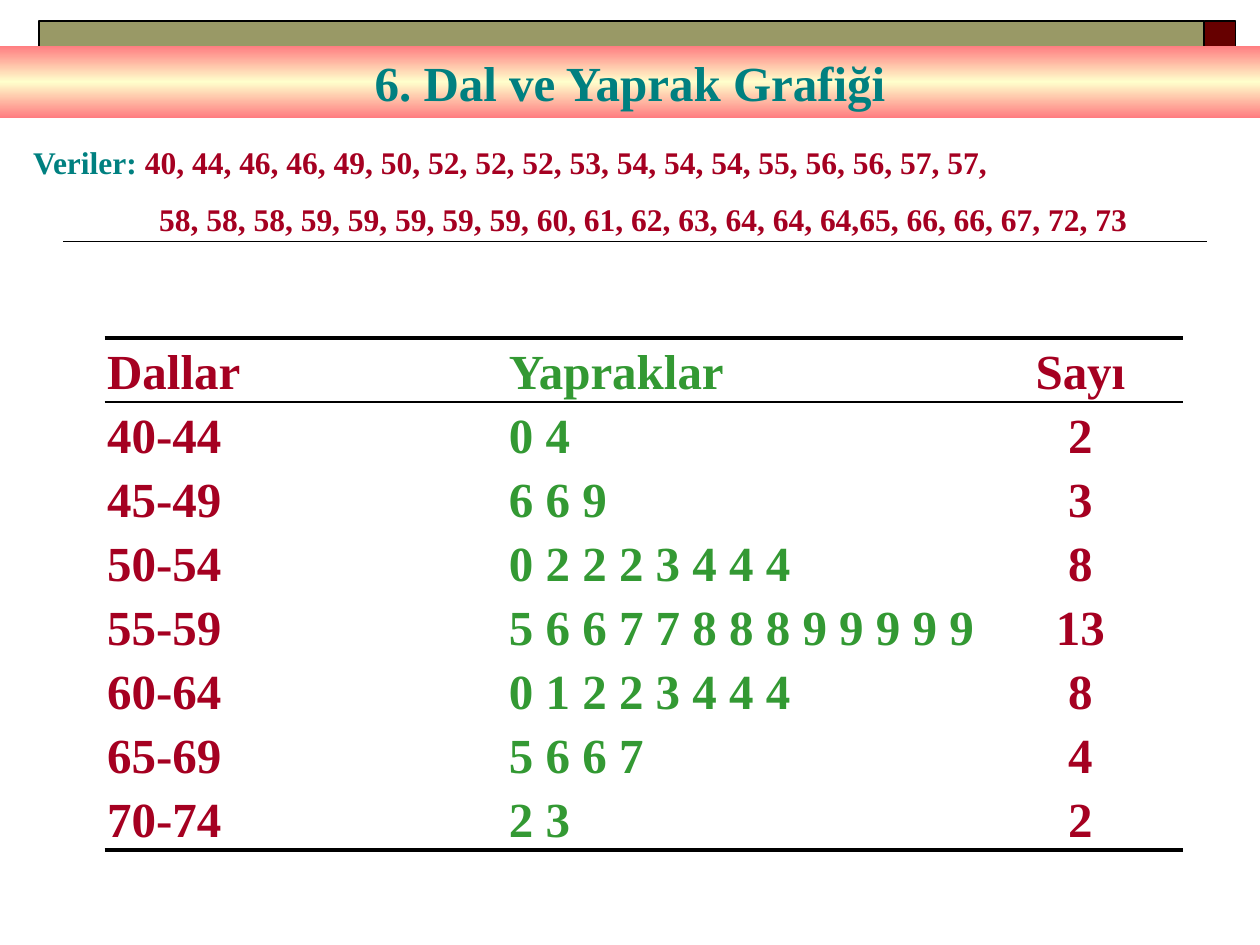
import copy
import pptx
import pptx.dml.color
import pptx.enum.shapes
import pptx.enum.text
import pptx.oxml
import pptx.oxml.ns
import pptx.util

Cm, Pt = pptx.util.Cm, pptx.util.Pt
ALIGN, ANCHOR = pptx.enum.text.PP_ALIGN, pptx.enum.text.MSO_ANCHOR
RECTANGLE = pptx.enum.shapes.MSO_SHAPE.RECTANGLE
qn = pptx.oxml.ns.qn

THEME = {
    "font": "Times New Roman", "large": 28, "small": 18,
    "teal": "008080", "crimson": "A50021", "green": "339933",
    "olive": "999966", "maroon": "660000", "black": "000000",
    "banner": [(0, "FF7C80"), (0.5, "FFFFCC"), (1, "FF7C80")],
    "thin": 0.99, "thick": 2.24,
}

TITLE = "6. Dal ve Yaprak Grafiği"
DATA_LINES = [
    [("Veriler: ", "teal"),
     ("40, 44, 46, 46, 49, 50, 52, 52, 52, 53, 54, 54, 54, 55, 56, 56, 57, 57,", "crimson")],
    [("58, 58, 58, 59, 59, 59, 59, 59, 60, 61, 62, 63, 64, 64, 64,65, 66, 66, 67, 72, 73", "crimson")],
]
COLUMNS = [(8.1, "crimson", ALIGN.LEFT), (9.5, "green", ALIGN.LEFT), (4.14, "crimson", ALIGN.CENTER)]
ROWS = [
    ("Dallar", "Yapraklar", "Sayı"),
    ("40-44", "0 4", "2"),
    ("45-49", "6 6 9", "3"),
    ("50-54", "0 2 2 2 3 4 4 4", "8"),
    ("55-59", "5 6 6 7 7 8 8 8 9 9 9 9 9", "13"),
    ("60-64", "0 1 2 2 3 4 4 4", "8"),
    ("65-69", "5 6 6 7", "4"),
    ("70-74", "2 3", "2"),
]
TABLE_RULES = [(0, "thick"), (1, "thin"), (len(ROWS), "thick")]
TABLE_LEFT, TABLE_TOP, ROW_HEIGHT = 2.11, 6.82, 1.29
BARS = [(0.78, 23.5, "olive"), (24.28, 0.63, "maroon")]


def rgb(value):
    return pptx.dml.color.RGBColor.from_string(THEME.get(value, value))


def style(span, size, color):
    span.font.name = THEME["font"]
    span.font.size = Pt(THEME[size])
    span.font.bold = True
    span.font.color.rgb = rgb(color)


def add_rule(page, left, right, top, width):
    rule = page.shapes.add_connector(
        pptx.enum.shapes.MSO_CONNECTOR.STRAIGHT, Cm(left), Cm(top), Cm(right), Cm(top))
    rule.line.color.rgb = rgb("black")
    rule.line.width = Pt(THEME[width])
    rule._element.spPr.append(pptx.oxml.parse_xml(
        f'<a:effectLst {pptx.oxml.ns.nsdecls("a")}/>'))


def add_bars(page):
    for left, width, color in BARS:
        bar = page.shapes.add_shape(RECTANGLE, Cm(left), Cm(0.43), Cm(width), Cm(0.64))
        bar.shadow.inherit = False
        bar.fill.solid()
        bar.fill.fore_color.rgb = rgb(color)
        bar.line.color.rgb = rgb("black")
        bar.line.width = Pt(THEME["thin"])


def add_title(page):
    banner = page.shapes.add_shape(RECTANGLE, 0, Cm(0.92), Cm(25.4), Cm(1.46))
    banner.shadow.inherit = False
    banner.line.fill.background()
    banner.fill.gradient()
    banner.fill.gradient_angle = 90
    stop_list = banner._element.spPr.find(qn("a:gradFill")).find(qn("a:gsLst"))
    stop_list.insert(1, copy.deepcopy(stop_list[0]))
    for stop, (position, color) in zip(banner.fill.gradient_stops, THEME["banner"]):
        stop.position = position
        stop.color.rgb = rgb(color)
    frame = banner.text_frame
    frame.text = TITLE
    frame.vertical_anchor = ANCHOR.BOTTOM
    frame.paragraphs[0].alignment = ALIGN.CENTER
    style(frame.paragraphs[0].runs[0], "large", "teal")


def add_data(page):
    box = page.shapes.add_textbox(Cm(0.42), Cm(2.76), Cm(25.4 - 0.42), Cm(2.18))
    frame = box.text_frame
    frame.word_wrap = True
    for index, line in enumerate(DATA_LINES):
        para = frame.add_paragraph() if index else frame.paragraphs[0]
        para.space_before = Pt(11.2)
        para._p.get_or_add_pPr().set("marL", str(Cm(2.54) * index))
        for text, color in line:
            span = para.add_run()
            span.text = text
            style(span, "small", color)


def add_leaves(page):
    width = sum(column[0] for column in COLUMNS)
    frame = page.shapes.add_table(
        len(ROWS), len(COLUMNS), Cm(TABLE_LEFT), Cm(TABLE_TOP),
        Cm(width), Cm(ROW_HEIGHT * len(ROWS)))
    table = frame.table
    table.first_row = table.horz_banding = False
    for row in table.rows:
        row.height = Cm(ROW_HEIGHT)
    for column, (column_width, color, alignment) in enumerate(COLUMNS):
        table.columns[column].width = Cm(column_width)
        for row, values in enumerate(ROWS):
            cell = table.cell(row, column)
            cell.text = values[column]
            cell.vertical_anchor = ANCHOR.BOTTOM
            cell.margin_left = cell.margin_right = Cm(0.05)
            cell.margin_top = cell.margin_bottom = Cm(0.04)
            para = cell.text_frame.paragraphs[0]
            para.alignment = alignment
            style(para.runs[0], "large", color)
            cell.fill.background()
            properties = cell._tc.get_or_add_tcPr()
            for index, side in enumerate(("lnL", "lnR", "lnT", "lnB")):
                properties.insert(index, pptx.oxml.parse_xml(
                    f'<a:{side} {pptx.oxml.ns.nsdecls("a")} w="0"><a:noFill/></a:{side}>'))
    for row, weight in TABLE_RULES:
        add_rule(page, TABLE_LEFT, TABLE_LEFT + width, TABLE_TOP + row * ROW_HEIGHT, weight)


deck = pptx.Presentation()
deck.slide_width, deck.slide_height = Cm(25.4), Cm(19.05)
page = deck.slides.add_slide(deck.slide_layouts[6])
add_rule(page, 1.27, 24.33, 4.87, "thin")
add_bars(page)
add_leaves(page)
add_title(page)
add_data(page)
deck.save("out.pptx")
